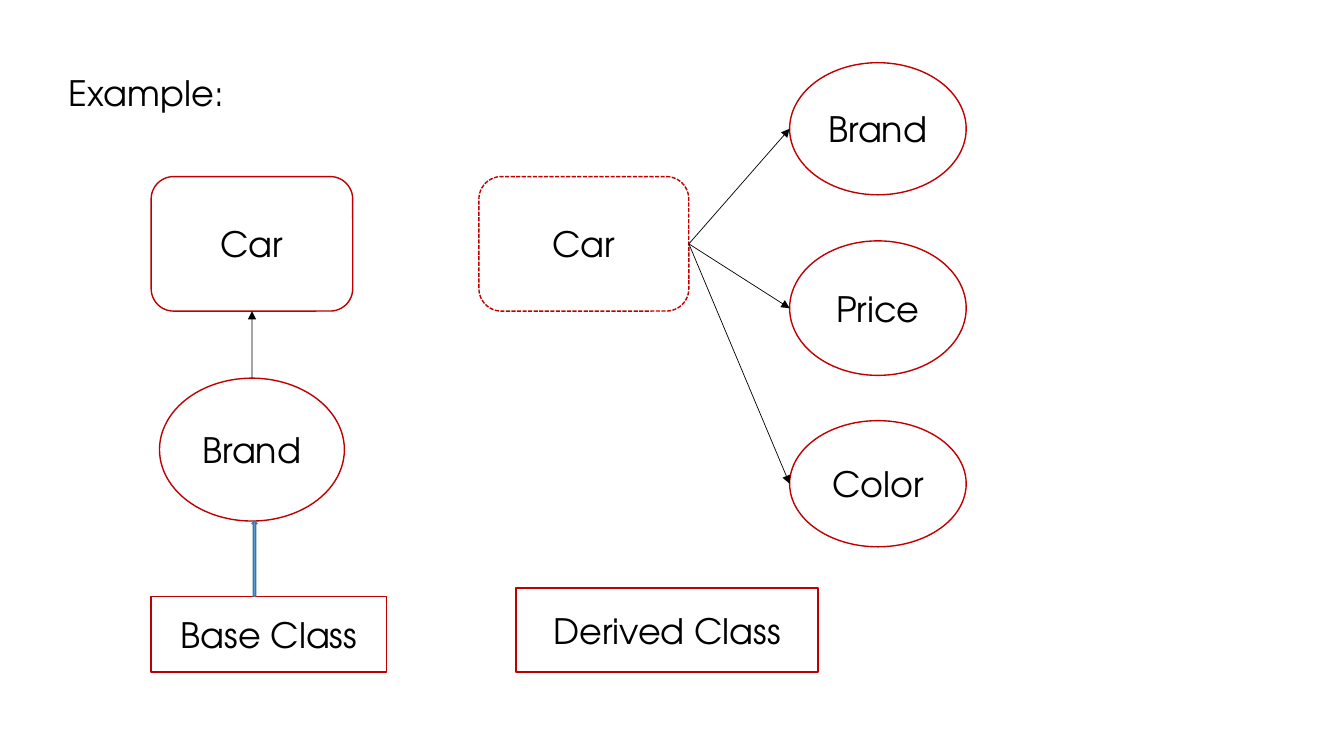
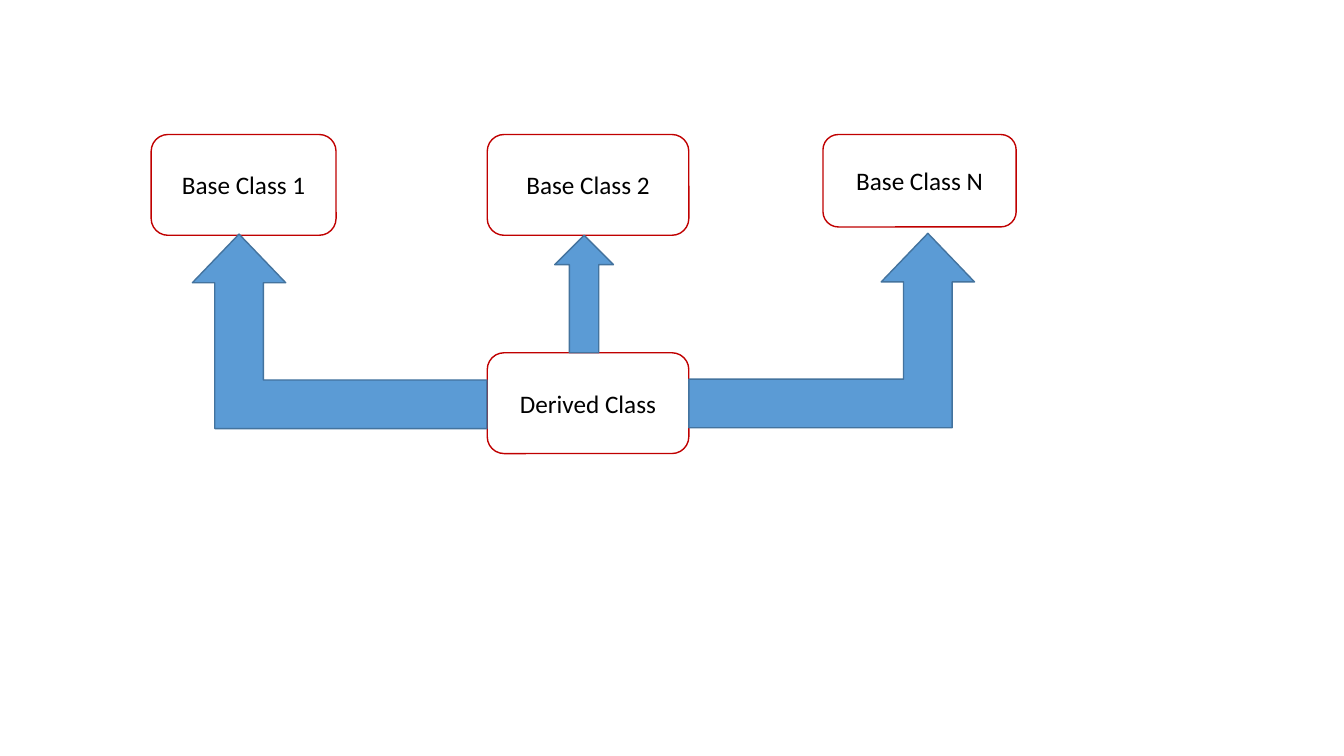
from lxml.etree import SubElement
from pptx import Presentation
from pptx.dml.color import RGBColor
from pptx.enum.dml import MSO_LINE
from pptx.enum.shapes import MSO_CONNECTOR, MSO_SHAPE
from pptx.enum.text import MSO_ANCHOR, PP_ALIGN
from pptx.oxml.ns import qn
from pptx.util import Cm, Pt

WHITE = RGBColor(0xFF, 0xFF, 0xFF)
BLACK = RGBColor(0, 0, 0)
RED = RGBColor(0xC0, 0, 0)
BLUE = RGBColor(0x5B, 0x9B, 0xD5)
DARK_BLUE = RGBColor(0x43, 0x73, 0x9E)

EXAMPLE_FONT = ("TeX Gyre Adventor", 25)
CLASS_FONT = ("Calibri", 18)
TOP_SITE, RIGHT_SITE = 0, 3

# Boxes are (left, top, width, height) in centimetres.
HEADING = ("Example:", (1.48, 1.69, 30.7, 1.32))
BASE_CAR = ("Car", (3.81, 4.45, 5.08, 3.39))
BASE_BRAND = ("Brand", (4.02, 9.53, 4.66, 3.6))
DERIVED_CAR = ("Car", (12.07, 4.45, 5.29, 3.39))
ATTRIBUTES = [
    ("Brand", (19.9, 1.58, 4.45, 3.33)),
    ("Price", (19.9, 6.07, 4.45, 3.39)),
    ("Color", (19.9, 10.6, 4.45, 3.18)),
]
CAPTIONS = [
    ("Base Class", (3.81, 15.03, 5.93, 1.91)),
    ("Derived Class", (13, 14.82, 7.62, 2.12)),
]
CAPTION_ARROW = (6.35, 13.13, 0.13, 1.9)

CLASSES = [
    ("Base Class 1", (3.81, 3.39, 4.66, 2.54)),
    ("Base Class 2", (12.28, 3.39, 5.08, 2.54)),
    ("Base Class N", (20.74, 3.39, 4.87, 2.33)),
    ("Derived Class", (12.28, 8.89, 5.08, 2.54)),
]
ARROW_TO_N = (17.36, 5.88, 7.2, 4.9)
ARROW_TO_2 = (13.98, 5.93, 1.48, 2.96)
ARROW_TO_1 = (4.85, 5.9, 7.42, 4.9)


def style_text(paragraph, text, font):
    paragraph.text = text
    paragraph.font.name, size = font
    paragraph.font.size = Pt(size)
    paragraph.font.color.rgb = BLACK


def add_shape(slide, kind, box, fill, line):
    shape = slide.shapes.add_shape(kind, *map(Cm, box))
    shape.shadow.inherit = False
    shape.fill.solid()
    shape.fill.fore_color.rgb = fill
    shape.line.color.rgb = line
    shape.line.width = Pt(1)
    return shape


def add_node(slide, kind, node, font):
    text, box = node
    shape = add_shape(slide, kind, box, WHITE, RED)
    shape.text_frame.word_wrap = True
    shape.text_frame.vertical_anchor = MSO_ANCHOR.MIDDLE
    paragraph = shape.text_frame.paragraphs[0]
    paragraph.alignment = PP_ALIGN.CENTER
    style_text(paragraph, text, font)
    return shape


def add_block_arrow(slide, kind, box):
    return add_shape(slide, kind, box, BLUE, DARK_BLUE)


def add_bent_arrow(slide, box, mirrored=False):
    arrow = add_block_arrow(slide, MSO_SHAPE.BENT_UP_ARROW, box)
    arrow.adjustments[1] = 0.24
    if mirrored:
        arrow._element.spPr.xfrm.set("flipH", "1")


def add_thin_arrow(slide, source, site, end_x, end_y):
    """Draw an arrow from a connection site of source to a point."""
    connector = slide.shapes.add_connector(MSO_CONNECTOR.STRAIGHT, 0, 0, end_x, end_y)
    connector.begin_connect(source, site)
    connector.line.color.rgb = BLACK
    connector.line.width = Pt(0.5)
    SubElement(connector.line._get_or_add_ln(), qn("a:tailEnd"), type="triangle")
    SubElement(connector._element.spPr, qn("a:effectLst"))


def build_example(slide):
    text, box = HEADING
    heading = slide.shapes.add_textbox(*map(Cm, box)).text_frame
    heading.word_wrap = True
    style_text(heading.paragraphs[0], text, EXAMPLE_FONT)

    base_car = add_node(slide, MSO_SHAPE.ROUNDED_RECTANGLE, BASE_CAR, EXAMPLE_FONT)
    brand = add_node(slide, MSO_SHAPE.OVAL, BASE_BRAND, EXAMPLE_FONT)
    add_thin_arrow(slide, brand, TOP_SITE,
                   base_car.left + base_car.width // 2, base_car.top + base_car.height)

    derived_car = add_node(slide, MSO_SHAPE.ROUNDED_RECTANGLE, DERIVED_CAR, EXAMPLE_FONT)
    derived_car.line.dash_style = MSO_LINE.SQUARE_DOT
    for attribute in ATTRIBUTES:
        oval = add_node(slide, MSO_SHAPE.OVAL, attribute, EXAMPLE_FONT)
        add_thin_arrow(slide, derived_car, RIGHT_SITE, oval.left, oval.top + oval.height // 2)

    for caption in CAPTIONS:
        add_node(slide, MSO_SHAPE.RECTANGLE, caption, EXAMPLE_FONT)
    add_block_arrow(slide, MSO_SHAPE.UP_ARROW, CAPTION_ARROW)


def build_multiple_inheritance(slide):
    for node in CLASSES:
        add_node(slide, MSO_SHAPE.ROUNDED_RECTANGLE, node, CLASS_FONT)
    add_bent_arrow(slide, ARROW_TO_N)
    add_block_arrow(slide, MSO_SHAPE.UP_ARROW, ARROW_TO_2)
    add_bent_arrow(slide, ARROW_TO_1, mirrored=True)


def main():
    presentation = Presentation()
    presentation.slide_width = Cm(33.87)
    presentation.slide_height = Cm(19.05)
    blank = presentation.slide_layouts[6]
    for build in (build_example, build_multiple_inheritance):
        build(presentation.slides.add_slide(blank))
    presentation.save("out.pptx")


if __name__ == "__main__":
    main()
